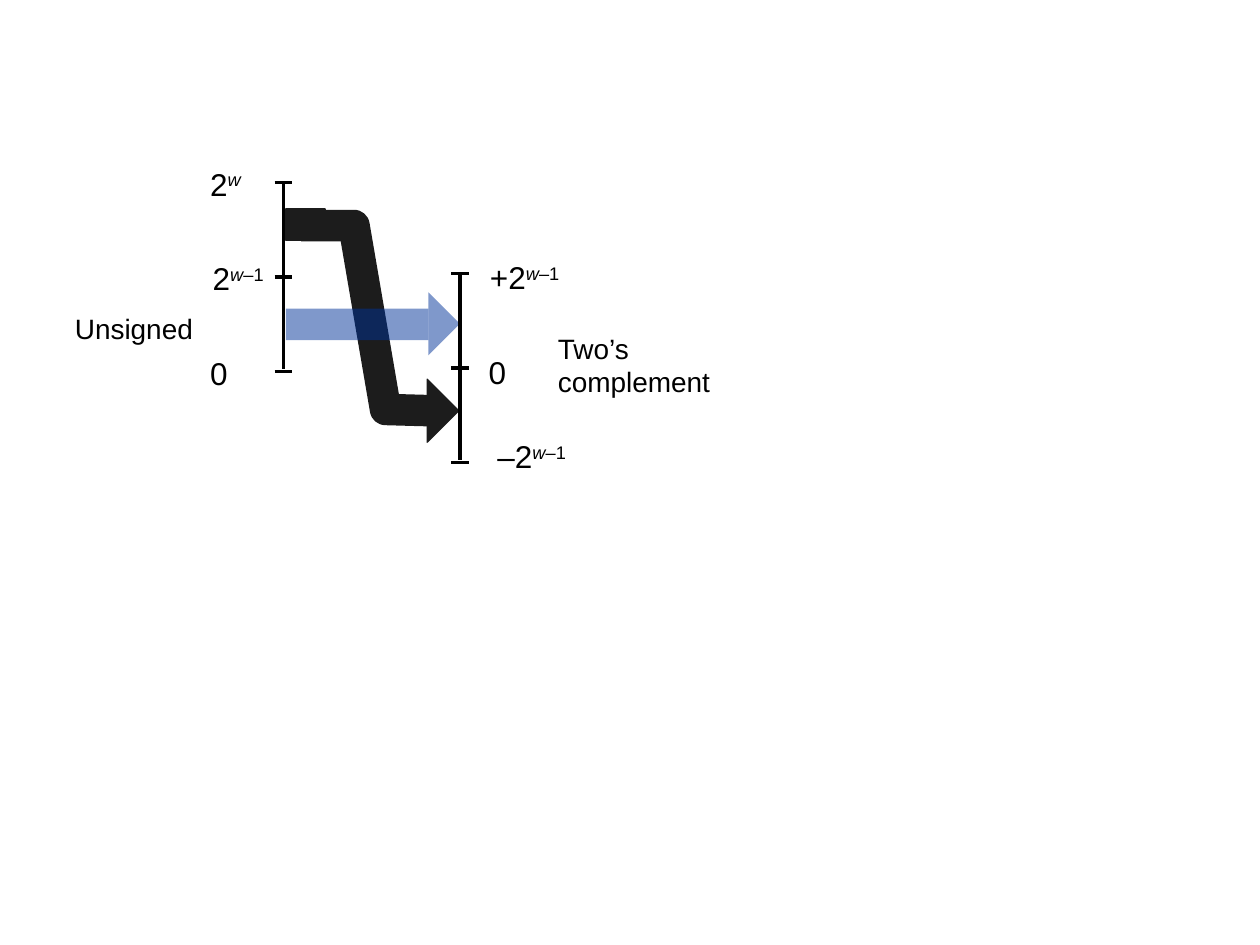
from lxml import etree
from pptx import Presentation
from pptx.dml.color import RGBColor
from pptx.enum.shapes import MSO_CONNECTOR, MSO_SHAPE
from pptx.enum.text import MSO_AUTO_SIZE, PP_ALIGN
from pptx.oxml.ns import qn
from pptx.util import Inches, Pt

RECT = MSO_SHAPE.RECTANGLE
LINE = MSO_CONNECTOR.STRAIGHT
GROW = MSO_AUTO_SIZE.SHAPE_TO_FIT_TEXT
LEFT, RIGHT = PP_ALIGN.LEFT, PP_ALIGN.RIGHT
HUES = {"ink": "000000", "dark": "1C1C1C", "blue": "003399"}

deck = Presentation()
deck.slide_width, deck.slide_height = Inches(10), Inches(7.5)
slide = deck.slides.add_slide(deck.slide_layouts[6])
shapes = slide.shapes


def outline(points, close):
    spots = [(Inches(x), Inches(y)) for x, y in points]
    pen = shapes.build_freeform(*spots[0], scale=1)
    pen.add_line_segments(spots[1:], close=close)
    return pen.convert_to_shape()


def paint(shape, fill=None, line=None, width=0.75, alpha=None):
    shape.shadow.inherit = False
    if fill:
        shape.fill.solid()
        shape.fill.fore_color.rgb = RGBColor.from_string(HUES[fill])
    else:
        shape.fill.background()
    if line:
        shape.line.color.rgb = RGBColor.from_string(HUES[line])
        shape.line.width = Pt(width)
    else:
        shape.line.fill.background()
    if alpha:
        tint = shape.element.spPr.find(qn("a:solidFill"))[0]
        etree.SubElement(tint, qn("a:alpha")).set("val", str(alpha * 1000))


bend = outline([(2.39, 1.79), (2.81, 1.79), (3.06, 3.25), (3.43, 3.26)], False)
paint(bend, line="dark", width=18)
etree.SubElement(bend.element.spPr.find(qn("a:ln")), qn("a:round"))

dark = {"fill": "dark", "line": "dark"}
pale = {"fill": "blue", "alpha": 50}
arrows = [
    (3.39, 3.01, (2.27, 1.66, 0.31, 0.25), dark),
    (3.4, 2.32, (2.27, 2.45, 1.13, 0.25), pale),
]
for x, y, bar, look in arrows:
    head = outline([(x, y), (x, y + 0.5), (x + 0.25, y + 0.25)], True)
    paint(head, **look)
    stem = shapes.add_shape(RECT, *[Inches(n) for n in bar])
    paint(stem, **look)

for x, top in [(2.25, 1.45), (3.65, 2.17)]:
    rules = [(x, top + 0.01, x, top + 1.48)]
    for step in range(3):
        y = top + 0.75 * step
        rules.append((x - 0.07, y, x + 0.07, y))
    for ends in rules:
        rule = shapes.add_connector(LINE, *[Inches(n) for n in ends])
        rule.line.color.rgb = RGBColor.from_string(HUES["ink"])
        rule.line.width = Pt(2)
        etree.SubElement(rule.element.spPr, qn("a:effectLst"))

labels = [
    (1.57, 2.76, 0.35, 0.4, 18, LEFT, ["0"], ""),
    (1.59, 2.01, 0.63, 0.4, 18, LEFT, ["2"], "w–1"),
    (1.57, 1.26, 0.46, 0.4, 18, LEFT, ["2"], "w"),
    (0.47, 2.42, 1.16, 0.36, 16, RIGHT, ["Unsigned"], ""),
    (4.33, 2.58, 1.43, 0.63, 16, LEFT, ["Two’s", "complement"], ""),
    (3.78, 2.75, 0.35, 0.4, 18, LEFT, ["0"], ""),
    (3.79, 2, 0.77, 0.4, 18, LEFT, ["+2"], "w–1"),
    (3.85, 3.42, 0.77, 0.4, 18, LEFT, ["–2"], "w–1"),
]
for x, y, wide, high, size, align, lines, power in labels:
    box = shapes.add_textbox(Inches(x), Inches(y), Inches(wide), Inches(high))
    frame = box.text_frame
    frame.word_wrap = False
    frame.auto_size = GROW
    for i, words in enumerate(lines):
        para = frame.add_paragraph() if i else frame.paragraphs[0]
        para.alignment = align
        for part in filter(None, [words, power[:1], power[1:]]):
            run = para.add_run()
            run.text = part
            style = {"name": "Arial", "size": Pt(size), "italic": part == "w"}
            for key, value in style.items():
                setattr(run.font, key, value)
            run.font.color.rgb = RGBColor.from_string(HUES["ink"])
            if part != words:
                run._r.get_or_add_rPr().set("baseline", "30000")

deck.save("out.pptx")
